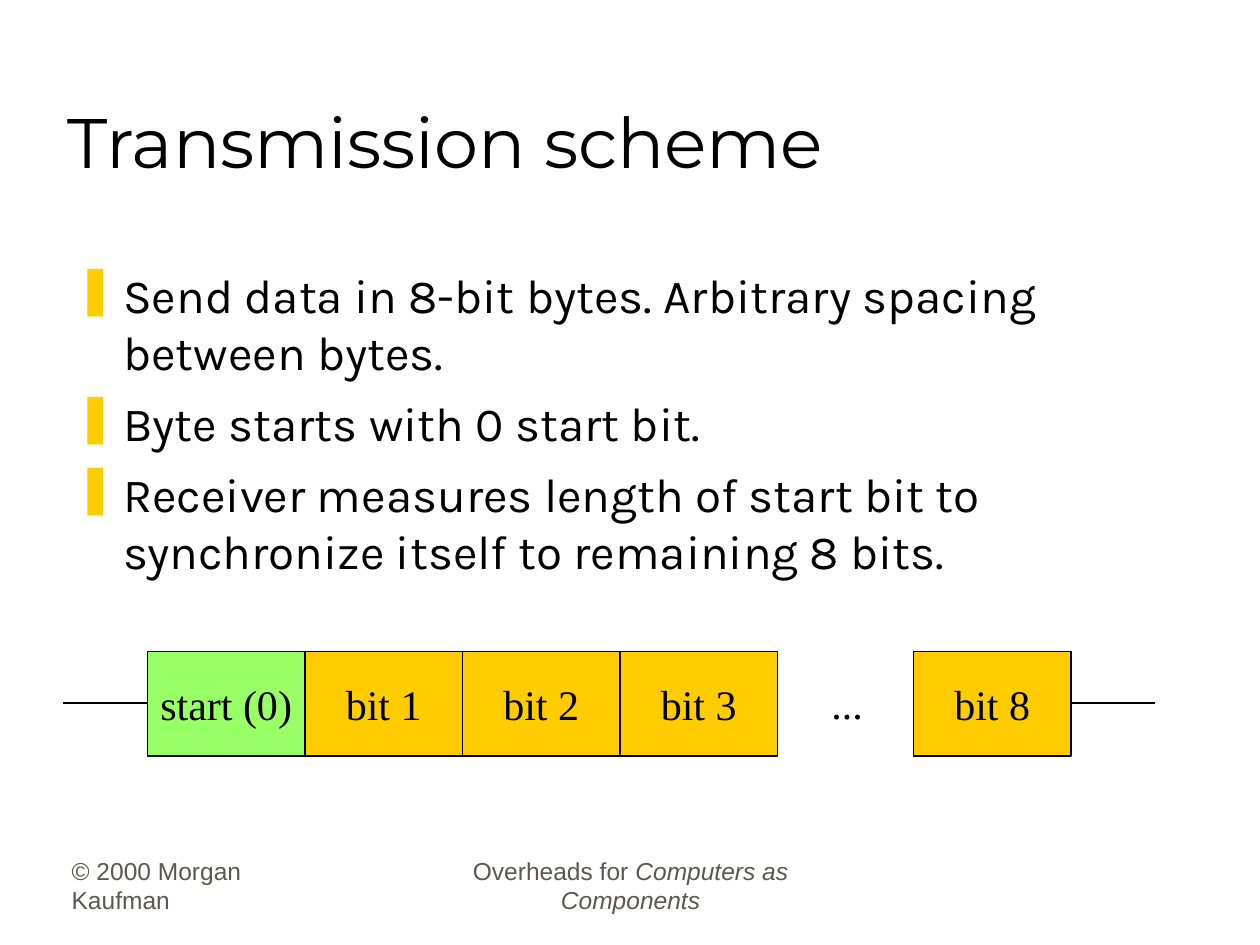
import pptx
import pptx.dml.color
import pptx.enum.shapes
import pptx.enum.text
import pptx.oxml.ns
import pptx.util
from lxml import etree

Inches = pptx.util.Inches
Pt = pptx.util.Pt
RGBColor = pptx.dml.color.RGBColor
ALIGN = pptx.enum.text.PP_ALIGN
ANCHOR = pptx.enum.text.MSO_ANCHOR
qn = pptx.oxml.ns.qn

BLACK = RGBColor(0x00, 0x00, 0x00)
GREY = RGBColor(0x5E, 0x57, 0x4E)
GOLD = RGBColor(0xFF, 0xCC, 0x00)
GREEN = RGBColor(0x99, 0xFF, 0x66)


class SlideBuilder:
    title_font = "Montserrat"
    body_font = "Karla"
    footer_font = "Arial"
    diagram_font = "Times New Roman"
    line_width = Pt(0.75)

    def __init__(self, slide):
        self.slide = slide

    def format_runs(self, paragraph, font, size, color):
        for run in paragraph.runs:
            run.font.name = font
            run.font.size = Pt(size)
            run.font.color.rgb = color

    def text(self, box, content, font, size, color=BLACK, align=ALIGN.LEFT,
             anchor=ANCHOR.TOP, wrap=True):
        """Add a text box; content is a list of paragraphs."""
        frame = self.slide.shapes.add_textbox(*map(Inches, box)).text_frame
        frame.word_wrap = wrap
        frame.vertical_anchor = anchor
        frame.text = "\n".join(content)
        for paragraph in frame.paragraphs:
            paragraph.alignment = align
            self.format_runs(paragraph, font, size, color)
        return frame

    def bullets(self, box, items):
        frame = self.text(box, items, self.body_font, 27.2)
        for index, paragraph in enumerate(frame.paragraphs):
            properties = paragraph._p.get_or_add_pPr()
            properties.set("marL", str(Inches(0.38)))
            properties.set("indent", str(-Inches(0.38)))
            color = etree.SubElement(properties, qn("a:buClr"))
            etree.SubElement(color, qn("a:srgbClr"), val=str(GOLD))
            etree.SubElement(properties, qn("a:buChar"), char="❚")
            if index:
                paragraph.space_before = Pt(8)

    def cell(self, box, label, fill):
        cell = self.slide.shapes.add_shape(
            pptx.enum.shapes.MSO_SHAPE.RECTANGLE, *map(Inches, box))
        cell.shadow.inherit = False
        cell.fill.solid()
        cell.fill.fore_color.rgb = fill
        cell.line.color.rgb = BLACK
        cell.line.width = self.line_width
        frame = cell.text_frame
        frame.word_wrap = False
        frame.vertical_anchor = ANCHOR.MIDDLE
        frame.text = label
        frame.paragraphs[0].alignment = ALIGN.CENTER
        self.format_runs(frame.paragraphs[0], self.diagram_font, 24, BLACK)

    def wire(self, start, end, y):
        wire = self.slide.shapes.add_connector(
            pptx.enum.shapes.MSO_CONNECTOR.STRAIGHT,
            Inches(start), Inches(y), Inches(end), Inches(y))
        wire.line.color.rgb = BLACK
        wire.line.width = self.line_width
        etree.SubElement(wire._element.spPr, qn("a:effectLst"))


def main():
    deck = pptx.Presentation()
    deck.slide_width = Inches(10)
    deck.slide_height = Inches(7.5)
    builder = SlideBuilder(deck.slides.add_slide(deck.slide_layouts[6]))

    # Footer
    builder.text((0.47, 6.81, 2.08, 0.5), ["© 2000 Morgan Kaufman"],
                 builder.footer_font, 14, GREY, anchor=ANCHOR.BOTTOM)
    book = builder.text((3.42, 6.81, 3.17, 0.5), ["Overheads for "],
                        builder.footer_font, 14, GREY, ALIGN.CENTER,
                        ANCHOR.BOTTOM).paragraphs[0]
    book_title = book.add_run()
    book_title.text = "Computers as Components"
    book_title.font.italic = True
    builder.format_runs(book, builder.footer_font, 14, GREY)

    # Title and bullets
    builder.text((0.44, 0.25, 8.5, 1.25), ["Transmission scheme"],
                 builder.title_font, 40, anchor=ANCHOR.BOTTOM)
    builder.bullets((0.5, 2.06, 8.94, 2.6), [
        "Send data in 8-bit bytes. Arbitrary spacing between bytes.",
        "Byte starts with 0 start bit.",
        "Receiver measures length of start bit to synchronize itself "
        "to remaining 8 bits.",
    ])

    # Byte frame: start bit, data bits, and the idle line on both sides
    left, top, width, height = 1.17, 5.17, 1.25, 0.83
    last_left = 7.25
    for index, label in enumerate(["start (0)", "bit 1", "bit 2", "bit 3"]):
        builder.cell((left + index * width, top, width, height), label,
                     GOLD if index else GREEN)
    builder.cell((last_left, top, width, height), "bit 8", GOLD)
    builder.text((6.5, 5.33, 0.45, 0.5), ["..."], builder.diagram_font, 24,
                 wrap=False)
    for wire_start in (left, last_left + width):
        outward = -0.67 if wire_start == left else 0.67
        builder.wire(wire_start, wire_start + outward, 5.58)

    deck.save("out.pptx")


if __name__ == "__main__":
    main()
